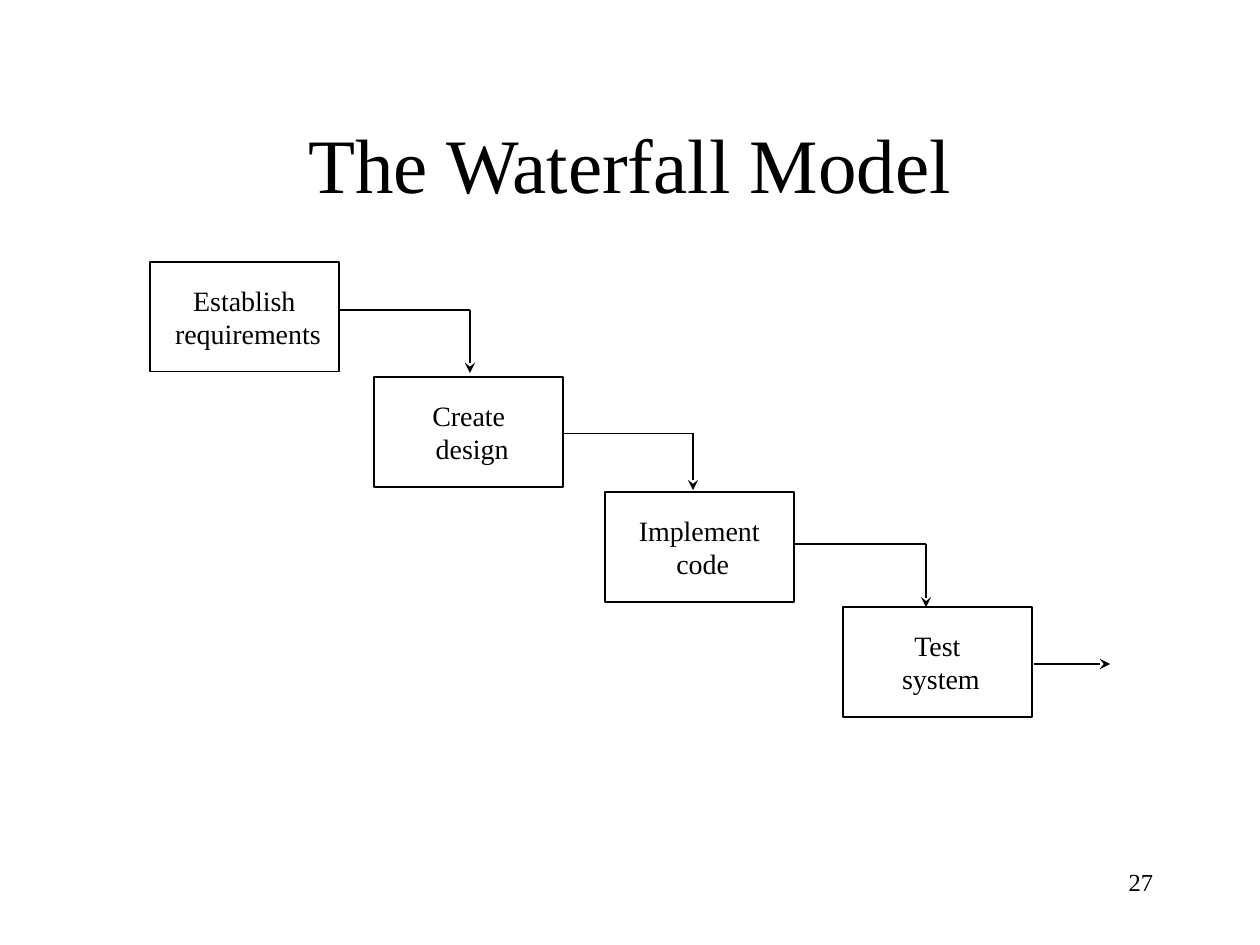
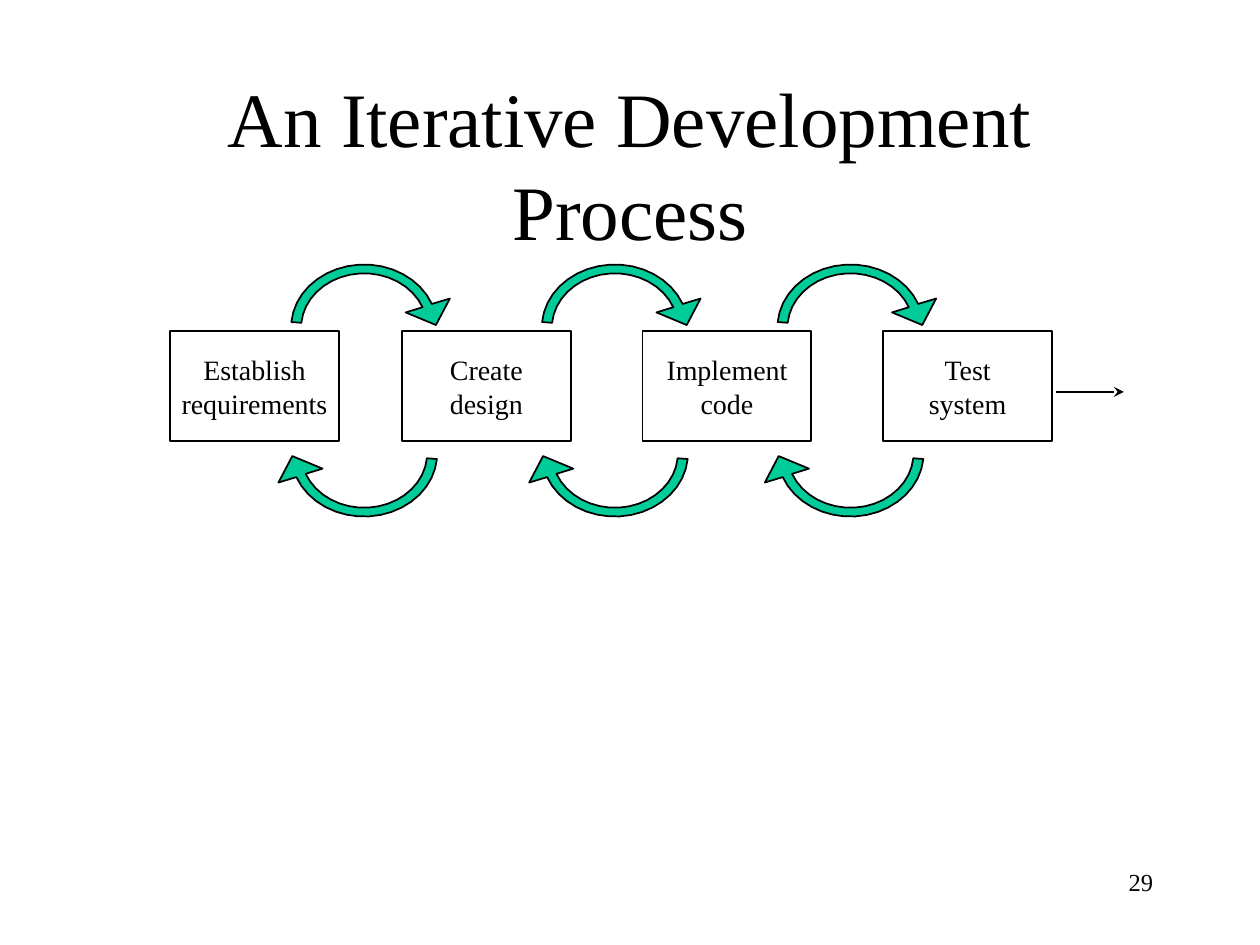
from math import cos, radians, sin
from typing import NamedTuple

from lxml.etree import SubElement
from pptx import Presentation
from pptx.dml.color import RGBColor
from pptx.enum.shapes import MSO_CONNECTOR as Connector, MSO_SHAPE as Shape
from pptx.enum.text import MSO_ANCHOR as Anchor, MSO_AUTO_SIZE as AutoSize, PP_ALIGN as Align
from pptx.oxml.ns import qn
from pptx.util import Inches, Pt

COLOURS = {"ink": "000000", "paper": "FFFFFF", "loop": "00CC99"}
FONT = "Times New Roman"
TITLE_LAYOUT = 5

# The slide is a grid of 100 columns by 75 rows
WIDTH, HEIGHT = Inches(10), Inches(7.5)
COL, ROW = WIDTH / 100, HEIGHT / 75
STAGE_ROWS = 8.7


class Point(NamedTuple):
    col: float
    row: float


class Stage(NamedTuple):
    label: str
    corner: Point


class Step(NamedTuple):
    start: Point
    end: Point


STAGE_LABELS = ["Establish\nrequirements", "Create\ndesign", "Implement\ncode", "Test\nsystem"]

# Waterfall: stages descend evenly, each step turns down into the next stage
FALL_COLS = 15
FALL_TOP, FALL_DROP = 20.8, 9.13
FALL_LEFTS = [11.9, 29.7, 48, 66.9]
FALL_STEPS = [
    Step(Point(26.9, 24.6), Point(37.3, 29.6)),
    Step(Point(44.6, 34.4), Point(55, 38.9)),
    Step(Point(63.1, 43.2), Point(73.5, 48.2)),
]
FALL_EXIT = Step(Point(82.1, 52.7), Point(88.1, 52.7))

# Iteration: stages in one row, loops above and below
LOOP_COLS = 13.4
LOOP_TOP = 26.3
LOOP_LEFTS = [13.5, 31.9, 51, 70.1]
LOOP_CENTRES = [28.9, 48.8, 67.5]
FORWARD_APEX, BACK_APEX = 21, 41
LOOP_EXIT = Step(Point(83.8, 31.1), Point(89.2, 31.1))

# Curved arrow, measured from its apex; angles run clockwise from the top
ARC_DROP = 5
OUTER, INNER = Point(5.8, 5), Point(5, 4.3)
ARC_ANGLES = range(-85, 69, 9)
ARROWHEAD = [Point(6.8, 2.7), Point(5.7, 4.8), Point(3.3, 3.8)]


def colour(name: str) -> RGBColor:
    return RGBColor.from_string(COLOURS[name])


def at(point: Point) -> tuple[int, int]:
    return round(point.col * COL), round(point.row * ROW)


def format_text(frame, size: float, align, anchor) -> None:
    frame.auto_size = AutoSize.NONE
    frame.vertical_anchor = anchor
    for paragraph in frame.paragraphs:
        paragraph.alignment = align
        for run in paragraph.runs:
            run.font.size = Pt(size)
            run.font.name = FONT
            run.font.color.rgb = colour("ink")


def outline(shape) -> None:
    shape.line.color.rgb = colour("ink")
    shape.line.width = Pt(1)


def add_page(deck, heading: str, number: int):
    """Slide with its title and page number."""
    slide = deck.slides.add_slide(deck.slide_layouts[TITLE_LAYOUT])
    slide.background.fill.solid()
    slide.background.fill.fore_color.rgb = colour("paper")

    title = slide.shapes.title
    title.left, title.top = at(Point(7.5, 6.7))
    title.width, title.height = at(Point(85, 12.5))
    title.text_frame.text = heading
    format_text(title.text_frame, 44, Align.CENTER, Anchor.MIDDLE)

    footer = slide.shapes.add_textbox(*at(Point(71.7, 68.3)), *at(Point(20.8, 5)))
    footer.text_frame.word_wrap = True
    footer.text_frame.text = str(number)
    format_text(footer.text_frame, 14, Align.RIGHT, Anchor.TOP)
    return slide


def add_stage(slide, stage: Stage, cols: float, indent: float = 0) -> None:
    """Outlined box; indent, in points, shifts its second line."""
    box = slide.shapes.add_shape(Shape.RECTANGLE, *at(stage.corner), *at(Point(cols, STAGE_ROWS)))
    box.shadow.inherit = False
    box.fill.background()
    outline(box)
    frame = box.text_frame
    frame.text = stage.label
    frame.word_wrap = False
    if indent:
        frame.paragraphs[1]._p.get_or_add_pPr().set("marL", str(Pt(indent)))
    format_text(frame, 16, Align.CENTER, Anchor.MIDDLE)


def add_line(slide, start: Point, end: Point, arrow: bool = False) -> None:
    line = slide.shapes.add_connector(Connector.STRAIGHT, *at(start), *at(end))
    outline(line)
    if arrow:
        SubElement(line.line._get_or_add_ln(), qn("a:tailEnd"), type="stealth")
    SubElement(line._element.spPr, qn("a:effectLst"))


def add_turn(slide, step: Step) -> None:
    """Line across, then an arrow down."""
    corner = Point(step.end.col, step.start.row)
    add_line(slide, step.start, corner)
    add_line(slide, corner, step.end, arrow=True)


def arc(radius: Point, angles) -> list[Point]:
    return [
        Point(radius.col * sin(radians(angle)), ARC_DROP - radius.row * cos(radians(angle)))
        for angle in angles
    ]


def add_loop(slide, apex: Point, turn: int) -> None:
    """Curved arrow; turn is 1 for forward, -1 for half a turn round."""
    edge = arc(OUTER, ARC_ANGLES) + ARROWHEAD + arc(INNER, reversed(ARC_ANGLES))
    corners = [at(Point(apex.col + turn * p.col, apex.row + turn * p.row)) for p in edge]
    builder = slide.shapes.build_freeform(*corners[0])
    builder.add_line_segments(corners[1:], close=True)
    loop = builder.convert_to_shape()
    loop.shadow.inherit = False
    loop.fill.solid()
    loop.fill.fore_color.rgb = colour("loop")
    outline(loop)


def build_waterfall(deck) -> None:
    slide = add_page(deck, "The Waterfall Model", 27)
    for level, (label, left) in enumerate(zip(STAGE_LABELS, FALL_LEFTS)):
        corner = Point(left, FALL_TOP + level * FALL_DROP)
        add_stage(slide, Stage(label, corner), FALL_COLS, indent=4)
    for step in FALL_STEPS:
        add_turn(slide, step)
    add_line(slide, *FALL_EXIT, arrow=True)


def build_iteration(deck) -> None:
    slide = add_page(deck, "An Iterative Development Process", 29)
    for label, left in zip(STAGE_LABELS, LOOP_LEFTS):
        add_stage(slide, Stage(label, Point(left, LOOP_TOP)), LOOP_COLS)
    add_line(slide, *LOOP_EXIT, arrow=True)
    for apex_row, turn in ((FORWARD_APEX, 1), (BACK_APEX, -1)):
        for centre in LOOP_CENTRES:
            add_loop(slide, Point(centre, apex_row), turn)


def main() -> None:
    deck = Presentation()
    deck.slide_width, deck.slide_height = WIDTH, HEIGHT
    build_waterfall(deck)
    build_iteration(deck)
    deck.save("out.pptx")


if __name__ == "__main__":
    main()
